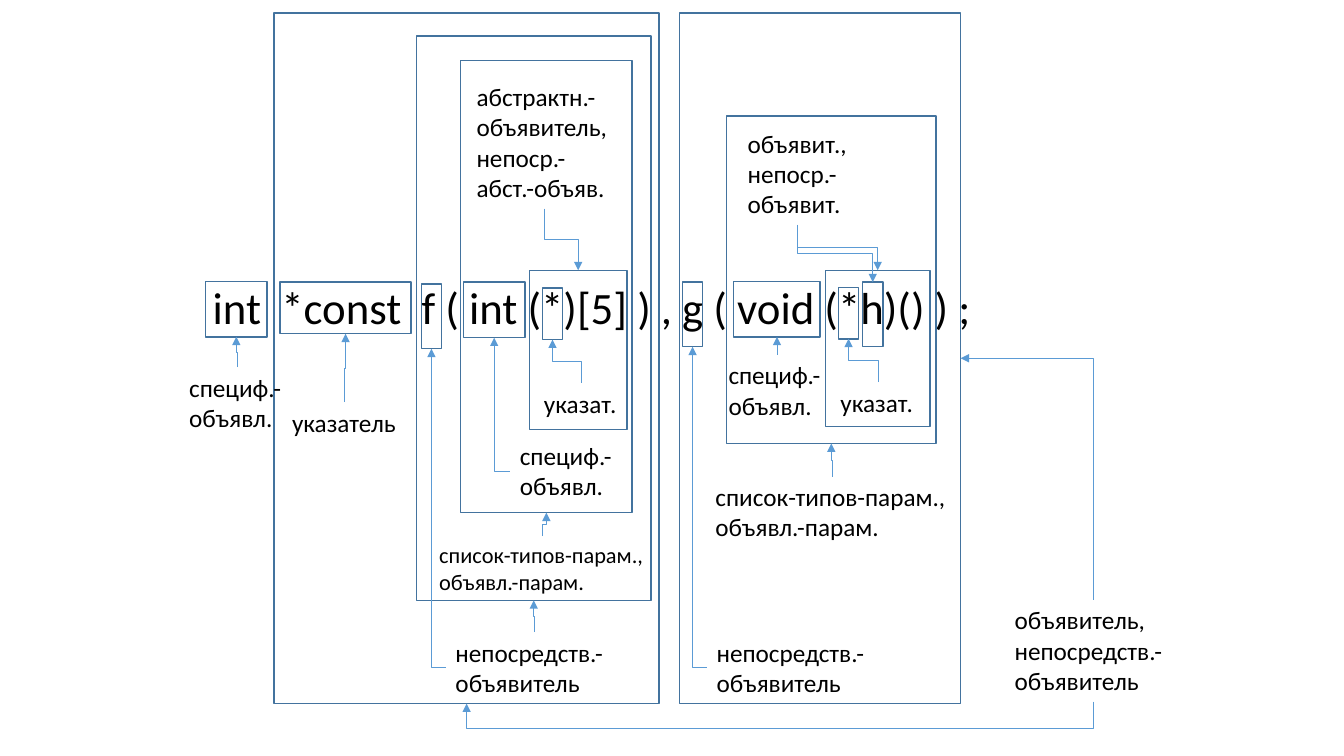
"""Build a slide that parses a C declaration into its grammar parts."""
from lxml import etree
from pptx import Presentation
from pptx.dml.color import RGBColor
from pptx.enum.shapes import MSO_CONNECTOR, MSO_SHAPE
from pptx.oxml.ns import qn
from pptx.util import Cm, Pt

ELBOW, RECTANGLE = MSO_CONNECTOR.ELBOW, MSO_SHAPE.RECTANGLE
TOP, LEFT, BOTTOM, RIGHT = range(4)
THEME = {
    "font": "Calibri", "ink": "000000", "frame": "43739E", "arrow": "5B9BD5",
    "code": 32, "label": 18, "small": 16, "frame_width": 1, "arrow_width": 0.5,
}
DETOUR = Cm(0.68)

DECLARATION = "int  *const  f ( int (*)[5] ) , g ( void (*h)() ) ;"
DECLARATION_PLACE = (5.11, 6.93, 19.86, 1.63)

FRAMES = {
    "specifier": (5.18, 7.09, 1.55, 1.4),
    "f declarator": (6.91, 0.33, 9.7, 17.4),
    "g declarator": (17.12, 0.33, 7.09, 17.4),
    "f direct": (10.49, 0.91, 5.92, 14.22),
    "const pointer": (7.06, 7.11, 3.3, 1.3),
    "f": (10.62, 7.16, 0.51, 1.63),
    "f parameters": (11.61, 1.52, 4.32, 11.4),
    "int": (11.68, 7.11, 1.55, 1.4),
    "array": (13.34, 6.81, 2.46, 4.01),
    "array pointer": (13.67, 7.26, 0.51, 1.3),
    "g": (17.2, 7.11, 0.51, 1.63),
    "g parameters": (18.31, 2.92, 5.28, 8.26),
    "void": (18.49, 7.09, 2.18, 1.4),
    "function": (20.8, 6.81, 2.64, 3.94),
    "h": (21.74, 7.11, 0.51, 1.63),
    "h pointer": (21.13, 7.24, 0.51, 1.3),
}

SPECIFIER = "специф.-\nобъявл."
DIRECT = "непосредств.-объявитель"
PARAMETERS = "список-типов-парам., объявл.-парам."
POINTER = "указат."

LABELS = [
    (SPECIFIER, (4.52, 9.25, 2.9, 1.8), {"wrap": False},
     [(TOP, "specifier", BOTTOM)]),
    ("указатель", (7.11, 10.13, 3.15, 1.02), {"wrap": False},
     [(TOP, "const pointer", BOTTOM)]),
    ("объявитель,\n" + DIRECT, (25.32, 15.11, 4.45, 2.57), {},
     [(BOTTOM, "f declarator", BOTTOM), (TOP, "g declarator", RIGHT)]),
    (DIRECT, (11.23, 15.93, 4.47, 1.8), {},
     [(TOP, "f direct", BOTTOM), (LEFT, "f", BOTTOM)]),
    (PARAMETERS, (10.82, 13.51, 5.72, 1.63), {"size": "small"},
     [(TOP, "f parameters", BOTTOM)]),
    (SPECIFIER, (12.85, 10.97, 2.9, 1.8), {"wrap": False},
     [(LEFT, "int", BOTTOM)]),
    ("абстрактн.-объявитель,\nнепоср.-абст.-объяв.", (11.76, 1.93, 3.91, 3.33), {},
     [(BOTTOM, "array", TOP)]),
    (POINTER, (13.46, 9.65, 2.39, 1.02), {}, [(TOP, "array pointer", BOTTOM)]),
    (DIRECT, (17.81, 15.93, 4.47, 1.8), {}, [(LEFT, "g", BOTTOM)]),
    (SPECIFIER, (18.11, 8.94, 2.95, 1.8), {}, [(TOP, "void", BOTTOM)]),
    ("объявит.,\nнепоср.-объявит.", (18.59, 3.1, 3.02, 2.57), {},
     [(BOTTOM, "function", TOP), (BOTTOM, "h", TOP)]),
    (POINTER, (20.93, 9.63, 2.39, 1.02), {}, [(TOP, "h pointer", BOTTOM)]),
    (PARAMETERS, (17.78, 12.01, 6.38, 1.8), {}, [(TOP, "g parameters", BOTTOM)]),
]


def color(role):
    return RGBColor.from_string(THEME[role])


def add_text(slide, text, place, size="label", wrap=True):
    label = slide.shapes.add_textbox(*map(Cm, place))
    label.text_frame.word_wrap = wrap
    label.text_frame.text = text
    for paragraph in label.text_frame.paragraphs:
        font = paragraph.runs[0].font
        font.name, font.size = THEME["font"], Pt(THEME[size])
        font.color.rgb = color("ink")
    return label


def add_frame(slide, place):
    frame = slide.shapes.add_shape(RECTANGLE, *map(Cm, place))
    frame.shadow.inherit = False
    frame.fill.background()
    frame.line.color.rgb = color("frame")
    frame.line.width = Pt(THEME["frame_width"])
    return frame


def turn_upright(arrow):
    dx, dy = arrow.end_x - arrow.begin_x, arrow.end_y - arrow.begin_y
    middle_x = (arrow.begin_x + arrow.end_x) // 2
    middle_y = (arrow.begin_y + arrow.end_y) // 2
    arrow.width, arrow.height = abs(dy), abs(dx)
    arrow.left, arrow.top = middle_x - abs(dy) // 2, middle_y - abs(dx) // 2
    transform = arrow._element.spPr.find(qn("a:xfrm"))
    transform.set("rot", str((90 if dy >= 0 else 270) * 60000))
    transform.set("flipH", "0")
    transform.set("flipV", "1" if dx * dy > 0 else "0")


def add_arrow(slide, label, start, frame, end):
    arrow = slide.shapes.add_connector(ELBOW, 0, 0, 0, 0)
    arrow.begin_connect(label, start)
    arrow.end_connect(frame, end)
    arrow.line.color.rgb = color("arrow")
    arrow.line.width = Pt(THEME["arrow_width"])
    properties = arrow._element.spPr
    etree.SubElement(properties.find(qn("a:ln")), qn("a:tailEnd"), type="triangle")
    etree.SubElement(properties, qn("a:effectLst"))
    geometry = properties.find(qn("a:prstGeom"))
    if start % 2 != end % 2:
        geometry.set("prst", "bentConnector2")
    if start == end:
        bend = round(100000 * DETOUR / (arrow.end_y - arrow.begin_y))
        adjustments = geometry.find(qn("a:avLst"))
        etree.SubElement(adjustments, qn("a:gd"), name="adj1", fmla=f"val {bend}")
    if start in (TOP, BOTTOM):
        turn_upright(arrow)


def main():
    deck = Presentation()
    deck.slide_width, deck.slide_height = Cm(33.87), Cm(19.05)
    slide = deck.slides.add_slide(deck.slide_layouts[6])
    add_text(slide, DECLARATION, DECLARATION_PLACE, size="code", wrap=False)
    frames = {part: add_frame(slide, place) for part, place in FRAMES.items()}
    for text, place, style, targets in LABELS:
        label = add_text(slide, text, place, **style)
        for start, part, end in targets:
            add_arrow(slide, label, start, frames[part], end)
    deck.save("out.pptx")


main()
